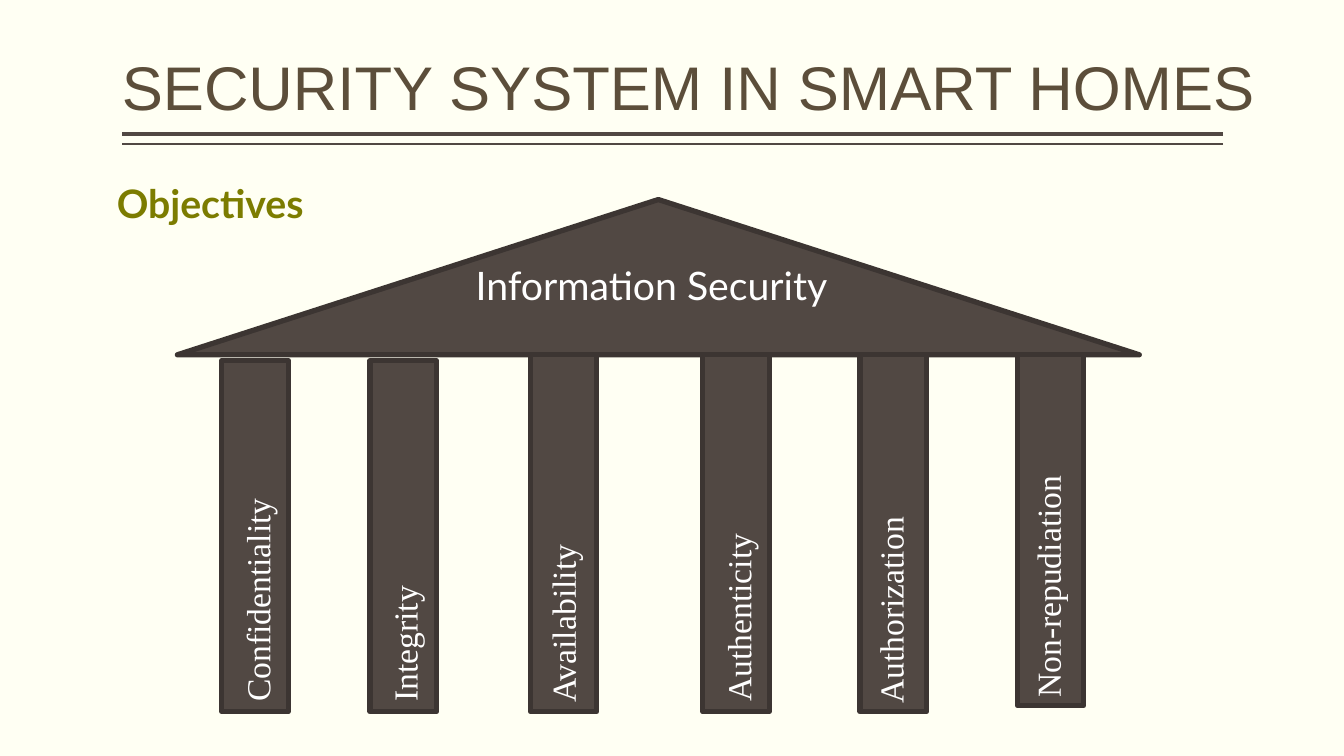
"""Build a slide showing information security as a roof on six pillars."""
import pptx
import pptx.util
import pptx.dml.color
import pptx.enum.shapes
import pptx.enum.text
import pptx.oxml
import pptx.oxml.ns

COLUMNS, ROWS = 13.33, 7.5
TITLE = "SECURITY SYSTEM IN SMART HOMES"
HEADING = "Objectives"
ROOF = "Information Security"
PILLARS = [
    {"label": "Confidentiality", "left": 2.2, "top": 3.58, "foot": 7.06, "middle": 2.55, "start": 7.06, "span": 3.67},
    {"label": "Integrity", "left": 3.67, "top": 3.58, "foot": 7.06, "middle": 4.01, "start": 7.06, "span": 3.41},
    {"label": "Availability", "left": 5.26, "top": 3.52, "foot": 7.06, "middle": 5.58, "start": 7.07, "span": 3.41},
    {"label": "Authenticity", "left": 6.97, "top": 3.52, "foot": 7.06, "middle": 7.32, "start": 7.06, "span": 3.41},
    {"label": "Authorization", "left": 8.53, "top": 3.52, "foot": 7.06, "middle": 8.83, "start": 7.08, "span": 3.41},
    {"label": "Non-repudiation", "left": 10.09, "top": 3.52, "foot": 7.0, "middle": 10.39, "start": 7.02, "span": 3.41},
]
PILLAR_WIDTH, LABEL_HEIGHT = 0.66, 0.5
RULES = [(1.33, 3), (1.43, 1)]
RULE_LEFT, RULE_RIGHT = 1.21, 12.13
STONE, EDGE, PAPER = "514843", "3C3532", "FFFFF3"
FORMATS = {
    "title": {"size": 44, "name": "Arial", "color": "5C4E3A"},
    "heading": {"size": 28, "name": "Lato", "color": "7C7C00", "bold": True},
    "roof": {"size": 28, "name": "Lato", "color": "FFFFFF"},
    "label": {"size": 24, "name": "Times New Roman", "color": "FFFFFF"},
}


def paint(target, color):
    """Give a colour format its hex colour."""
    target.rgb = pptx.dml.color.RGBColor.from_string(color)


def grid(*lengths):
    """Turn grid columns and rows into slide lengths."""
    return [pptx.util.Inches(length) for length in lengths]


def add_stone(slide, kind, *place):
    """Add one outlined part of the building."""
    stone = slide.shapes.add_shape(kind, *grid(*place))
    stone.shadow.inherit = False
    stone.fill.solid()
    paint(stone.fill.fore_color, STONE)
    paint(stone.line.color, EDGE)
    stone.line.width = pptx.util.Pt(3.78)
    pptx.oxml.ns.qn("a:round")
    stone.line._get_or_add_ln().append(pptx.oxml.parse_xml(
        '<a:round xmlns:a="http://schemas.openxmlformats.org/drawingml/2006/main"/>'))


def add_words(slide, words, style, *place, rotation=0, **frame_values):
    """Add a line of text in one of the named formats."""
    box = slide.shapes.add_textbox(*grid(*place))
    box.rotation = rotation
    frame = box.text_frame
    for key, value in {"word_wrap": True, **frame_values}.items():
        setattr(frame, key, value)
    paragraph = frame.paragraphs[0]
    run = paragraph.add_run()
    run.text = words
    for key, value in FORMATS[style].items():
        if key == "color":
            paint(run.font.color, value)
        else:
            setattr(run.font, key, pptx.util.Pt(value) if key == "size" else value)
    return paragraph


def add_rule(slide, row, weight):
    """Add one horizontal rule below the title."""
    rule = slide.shapes.add_connector(
        pptx.enum.shapes.MSO_CONNECTOR.STRAIGHT, *grid(RULE_RIGHT, row, RULE_LEFT, row))
    paint(rule.line.color, STONE)
    rule.line.width = pptx.util.Pt(weight)
    rule._element.spPr.append(pptx.oxml.parse_xml(
        '<a:effectLst xmlns:a="http://schemas.openxmlformats.org/drawingml/2006/main"/>'))


def main():
    """Draw the slide and save it."""
    deck = pptx.Presentation()
    deck.slide_width, deck.slide_height = grid(COLUMNS, ROWS)
    slide = deck.slides.add_slide(deck.slide_layouts[6])
    slide.background.fill.solid()
    paint(slide.background.fill.fore_color, PAPER)
    shapes = pptx.enum.shapes.MSO_SHAPE
    for row, weight in RULES:
        add_rule(slide, row, weight)
    title = add_words(slide, TITLE, "title", RULE_LEFT, 0.08, 11.93, 1.2, margin_left=0, margin_right=0,
                      vertical_anchor=pptx.enum.text.MSO_ANCHOR.BOTTOM)
    title.line_spacing = 0.9
    add_words(slide, HEADING, "heading", 1.06, 1.73, 2.71, 0.57)
    add_stone(slide, shapes.ISOSCELES_TRIANGLE, 1.76, 1.98, 9.54, 1.54)
    for pillar in PILLARS:
        add_stone(slide, shapes.RECTANGLE, pillar["left"], pillar["top"],
                  PILLAR_WIDTH, pillar["foot"] - pillar["top"])
    add_words(slide, ROOF, "roof", 4.62, 2.54, 4.4, 0.57)
    for pillar in PILLARS:
        span = pillar["span"]
        add_words(slide, pillar["label"], "label", pillar["middle"] - span / 2,
                  pillar["start"] - span / 2 - LABEL_HEIGHT / 2, span, LABEL_HEIGHT, rotation=270)
    deck.save("out.pptx")


if __name__ == "__main__":
    main()
